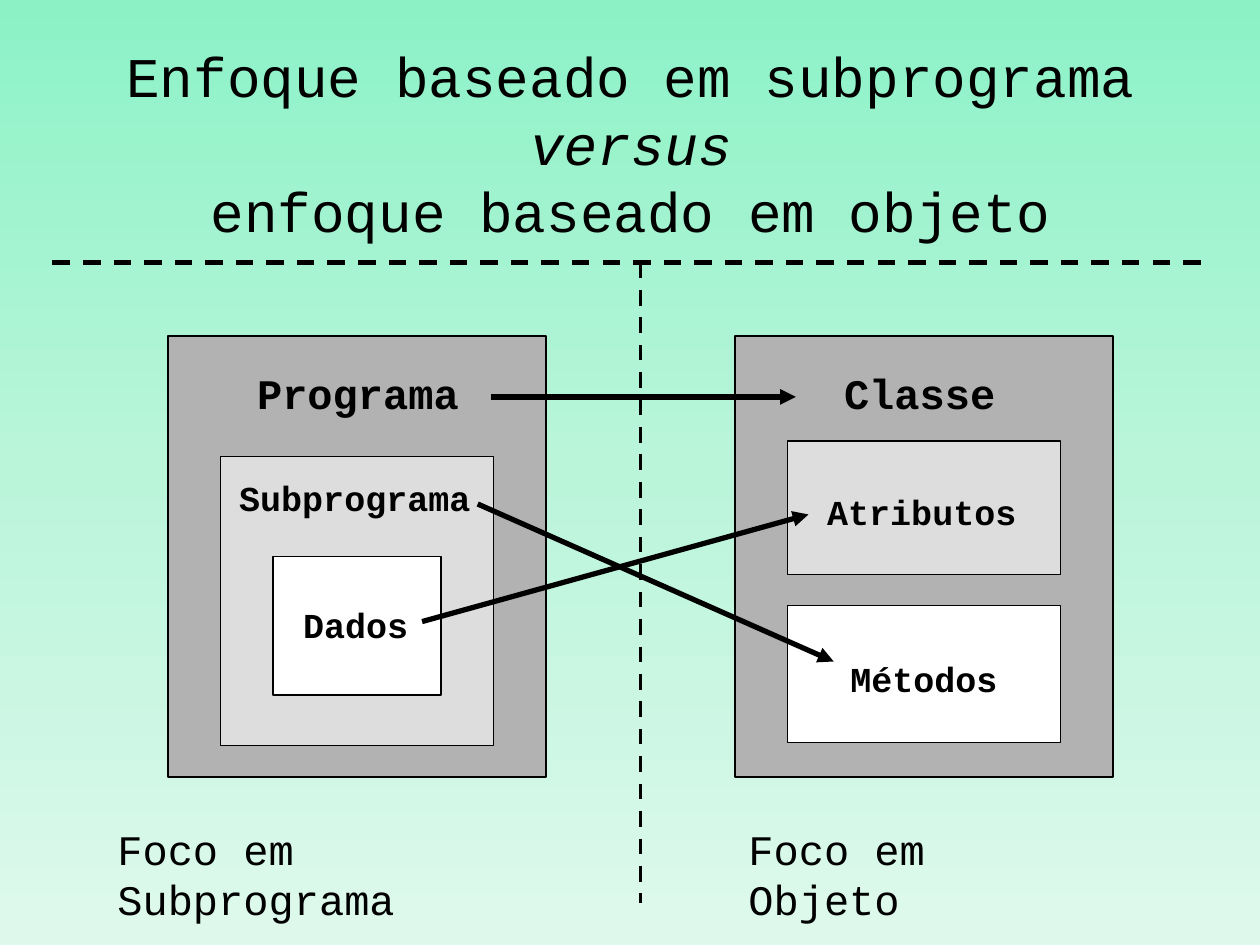
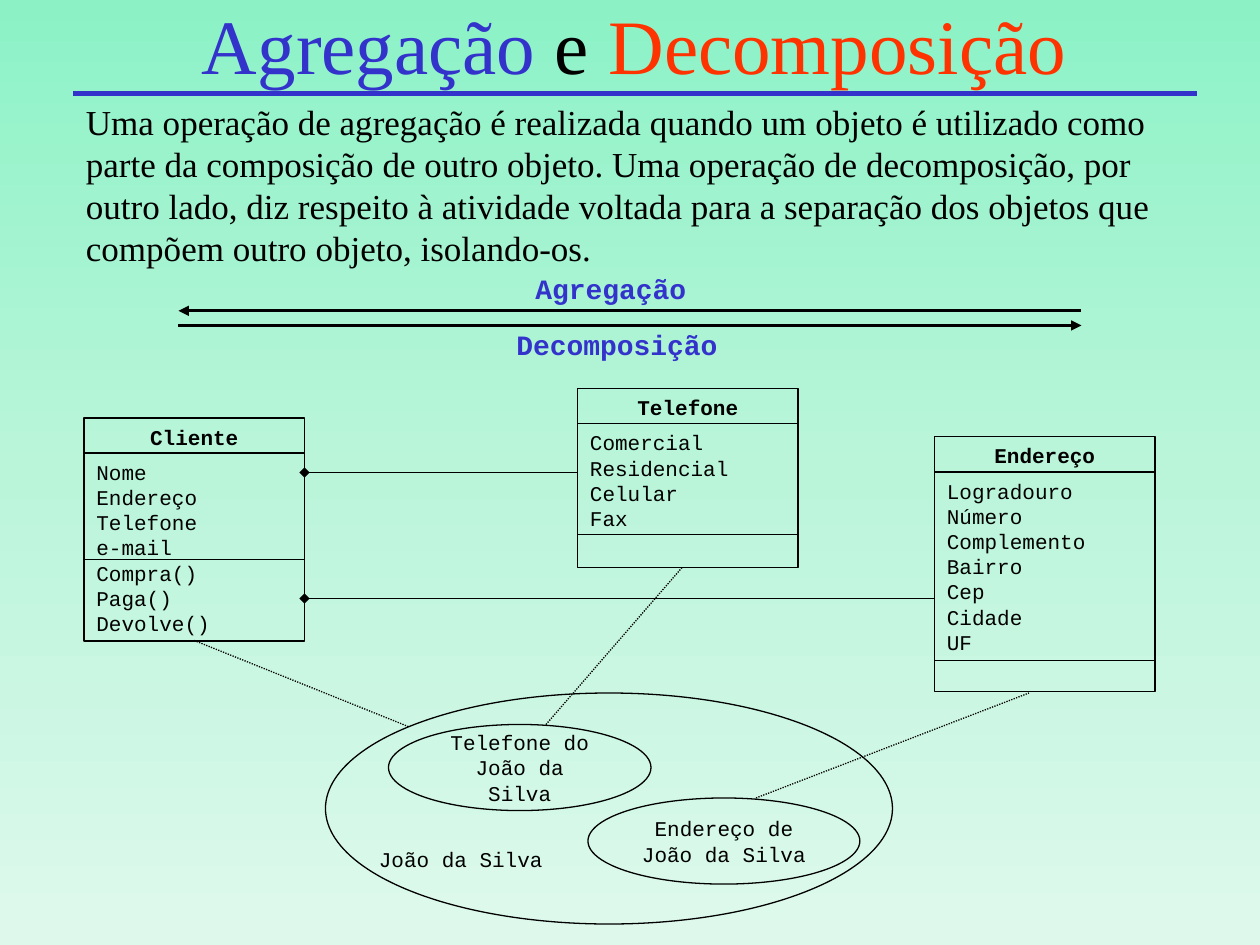
from copy import deepcopy
from pptx import Presentation
from pptx.dml.color import RGBColor
from pptx.enum.dml import MSO_LINE as Dash
from pptx.enum.shapes import MSO_CONNECTOR as Link, MSO_SHAPE as Kind
from pptx.enum.text import MSO_ANCHOR as Anchor, PP_ALIGN as Align
from pptx.oxml.ns import qn
from pptx.oxml.xmlchemy import OxmlElement as Node
from pptx.util import Inches, Pt

CELL = Inches(10) // 120
HEAD = 3.35
MONO, SERIF = "Courier New", "Times New Roman"
BLACK, BLUE, RED, WHITE = "000000", "3333CC", "FF3300", "FFFFFF"
GREY, PALE = "B2B2B2", "DDDDDD"
SKY = [(0, "8CF2C6"), (0.5, "BAF5DA"), (1, "DEF9EC")]

HEADING = ["Enfoque baseado em subprograma",
           [("versus", {"italic": True})],
           "enfoque baseado em objeto"]
BOXES = [
    ((16, 32, 36, 42), GREY),
    ((21, 43.5, 26, 27.5), PALE),
    ((26, 53, 16, 13.2), WHITE),
    ((70, 32, 36, 42), GREY),
    ((75, 42, 26, 12.7), PALE),
    ((75, 57.7, 26, 13), WHITE),
]
NAMES = [
    ("Programa", 23.3, 34.4, 24),
    ("Subprograma", 21.6, 44.8, 20),
    ("Dados", 27.7, 56.9, 20),
    ("Classe", 79.2, 34.4, 24),
    ("Atributos", 77.6, 46.1, 20),
    ("Métodos", 79.8, 62, 20),
]
ARROWS = [(46.8, 37.8, 75.8, 37.8), (45.5, 48, 79.4, 63), (40.2, 59.2, 77, 49)]
RULES = [((5, 25, 115, 25), 2.5), ((61, 25, 61, 86), 2.25)]
FOCUS = [("Foco em Subprograma", 10), ("Foco em Objeto", 70.1)]

TITLE = [[("Agregação", {"color": BLUE}), (" e ", {}), ("Decomposição", {"color": RED})]]
INTRO = ["Uma operação de agregação é realizada quando um objeto é utilizado como "
         "parte da composição de outro objeto. Uma operação de decomposição, por "
         "outro lado, diz respeito à atividade voltada para a separação dos objetos "
         "que compõem outro objeto, isolando-os."]
WAYS = [("Agregação", 49.8, 25.3, 29.6, "head"), ("Decomposição", 48, 30.6, 31, "tail")]
CLASSES = [
    ("Cliente", 8, 39.8, 17.9, 53.3,
     ["Nome", "Endereço", "Telefone", "e-mail", "Compra()", "Paga()", "Devolve()"]),
    ("Endereço", 89, 41.6, 20.9, 62.9,
     ["Logradouro", "Número", "Complemento", "Bairro", "Cep", "Cidade", "UF"]),
    ("Telefone", 55, 37, 13.7, 50.9,
     ["Comercial", "Residencial", "Celular", "Fax"]),
]
OVALS = [
    ((56, 76, 25.9, 8.2), ["Endereço de João da Silva"]),
    ((37, 69, 25, 8.2), ["Telefone do João da Silva"]),
    ((31, 66, 54, 22), []),
]
PARTS = [(29, 45, 55, 45), (29, 57, 89, 57)]
DOTS = [(38.9, 69.2, 18.5, 61), (52, 69, 65, 54), (72, 76, 98, 66)]


def rgb(code):
    return RGBColor.from_string(code)


def grid(cells):
    return [round(n * CELL) for n in cells]


def text(slide, at, paras, shape=None, size=12, font=MONO, color=BLACK, bold=False,
         align=Align.LEFT, anchor=Anchor.TOP, wrap=True):
    shape = shape or slide.shapes.add_textbox(*grid(at))
    frame = shape.text_frame
    frame.word_wrap, frame.vertical_anchor = wrap, anchor
    for i, runs in enumerate(paras):
        para = frame.add_paragraph() if i else frame.paragraphs[0]
        para.alignment = align
        for words, style in [(runs, {})] if isinstance(runs, str) else runs:
            run = para.add_run()
            run.text = words
            run.font.size, run.font.name = Pt(size), font
            run.font.bold, run.font.italic = bold, style.get("italic", False)
            run.font.color.rgb = rgb(style.get("color", color))


def label(slide, words, x, y, size, **style):
    at = x, y, len(words) * size * 0.1 + 3, size * 0.2 + 1.2
    text(slide, at, [words], size=size, wrap=False, **style)


def box(slide, at, fill=None, kind=Kind.RECTANGLE, paras=(), **style):
    shape = slide.shapes.add_shape(kind, *grid(at))
    shape.shadow.inherit = False
    if fill:
        shape.fill.solid()
        shape.fill.fore_color.rgb = rgb(fill)
    else:
        shape.fill.background()
    shape.line.color.rgb, shape.line.width = rgb(BLACK), Pt(0.75)
    if paras:
        text(slide, at, paras, shape=shape, **style)


def line(slide, ends, width=0.75, color=BLACK, dash=None, end=None, tip="triangle"):
    wire = slide.shapes.add_connector(Link.STRAIGHT, *grid(ends))
    wire.line.color.rgb, wire.line.width = rgb(color), Pt(width)
    if dash:
        wire.line.dash_style = dash
    if end:
        mark = Node(f"a:{end}End")
        mark.set("type", tip)
        wire.line._get_or_add_ln().append(mark)
    wire._element.spPr.append(Node("a:effectLst"))


def paint(master):
    fill = master.background.fill
    fill.gradient()
    fill.gradient_angle = 270
    stops = master.element.find(".//" + qn("a:gsLst"))
    stops.insert(1, deepcopy(stops[0]))
    for stop, (place, code) in zip(fill.gradient_stops, SKY):
        stop.position, stop.color.rgb = place, rgb(code)


def focus(slide):
    for at, fill in BOXES:
        box(slide, at, fill)
    for name in NAMES:
        label(slide, *name, bold=True)
    for ends, width in RULES:
        line(slide, ends, width, dash=Dash.DASH)
    for ends in ARROWS:
        line(slide, ends, 3, end="tail")
    text(slide, (10.8, 3.4, 98.6, 20.4), HEADING, size=32, align=Align.CENTER, wrap=False)
    for words, x in FOCUS:
        text(slide, (x, 77.8, 30, 10.5), [words], size=24)


def whole(slide):
    line(slide, (7, 8.9, 114, 8.9), 3, BLUE)
    text(slide, (9.4, 1.2, 102, 5.9), TITLE, size=44, font=SERIF,
         align=Align.CENTER, anchor=Anchor.MIDDLE)
    text(slide, (7, 9, 107, 17.2), INTRO, size=20, font=SERIF)
    for words, x, y, level, end in WAYS:
        label(slide, words, x, y, 16, bold=True, color=BLUE)
        line(slide, (17, level, 103, level), 1.5, end=end)
    for name, x, y, tall, split, items in CLASSES:
        box(slide, (x, y, 21, HEAD), paras=[name], bold=True, align=Align.CENTER)
        box(slide, (x, y + HEAD, 21, tall), paras=items)
        line(slide, (x, split, x + 21, split))
    for at, paras in OVALS:
        box(slide, at, kind=Kind.OVAL, paras=paras,
            align=Align.CENTER, anchor=Anchor.MIDDLE)
    label(slide, "João da Silva", 34.9, 80, 12)
    for ends in PARTS:
        line(slide, ends, end="head", tip="diamond")
    for ends in DOTS:
        line(slide, ends, dash=Dash.ROUND_DOT)


def main():
    deck = Presentation()
    deck.slide_width, deck.slide_height = Inches(10), Inches(7.5)
    paint(deck.slide_master)
    for draw in (focus, whole):
        draw(deck.slides.add_slide(deck.slide_layouts[6]))
    deck.save("out.pptx")


if __name__ == "__main__":
    main()
